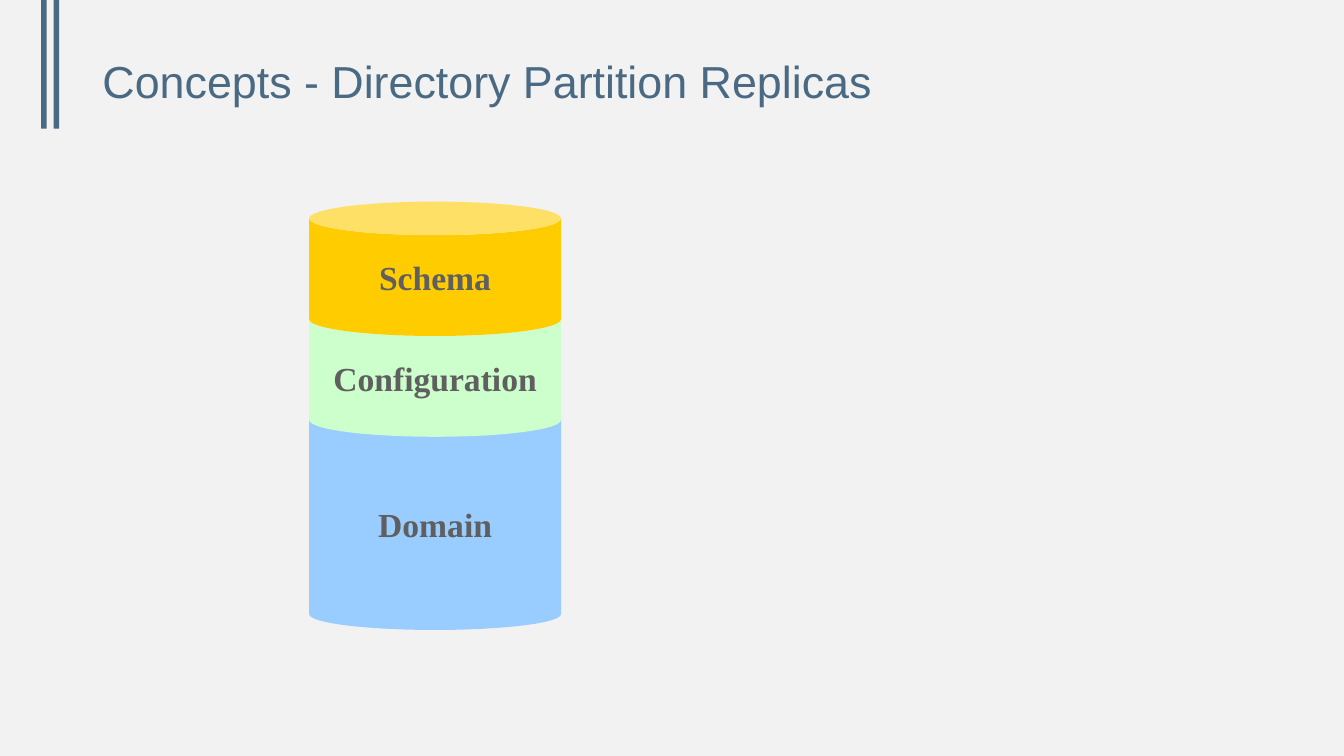
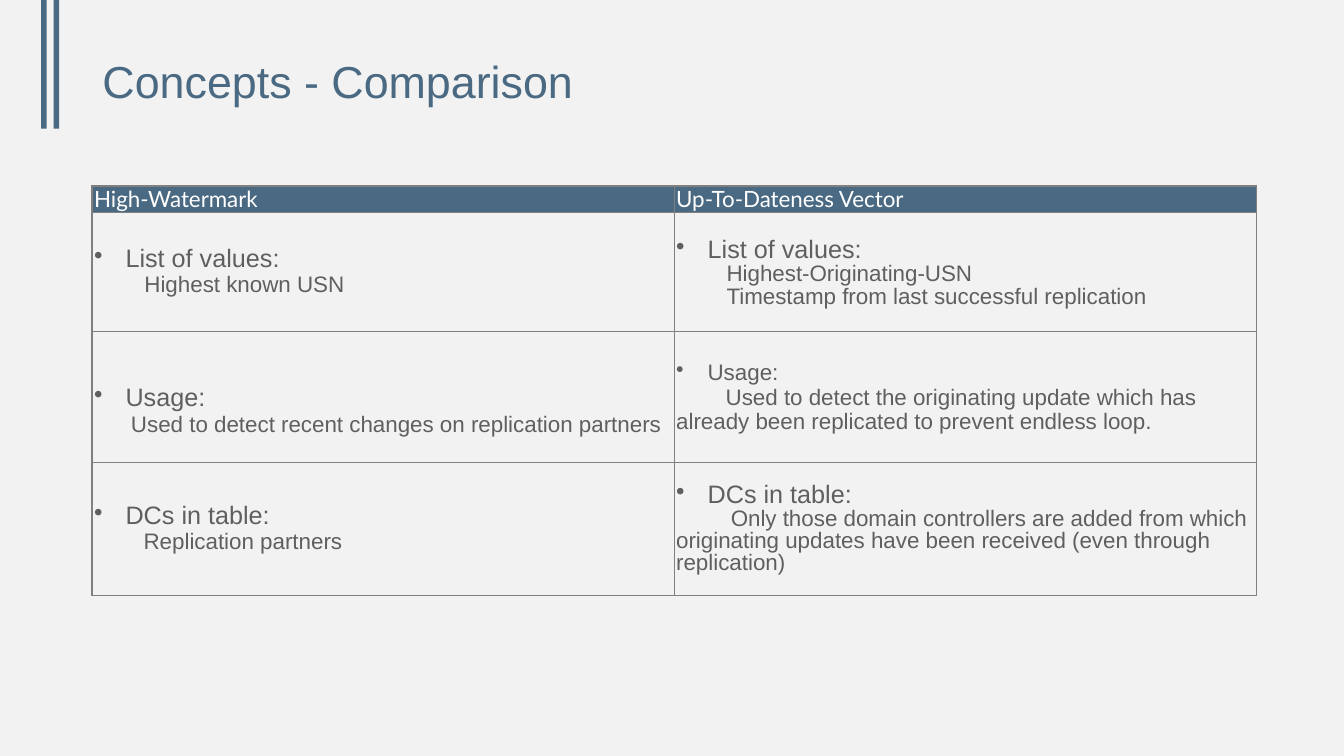
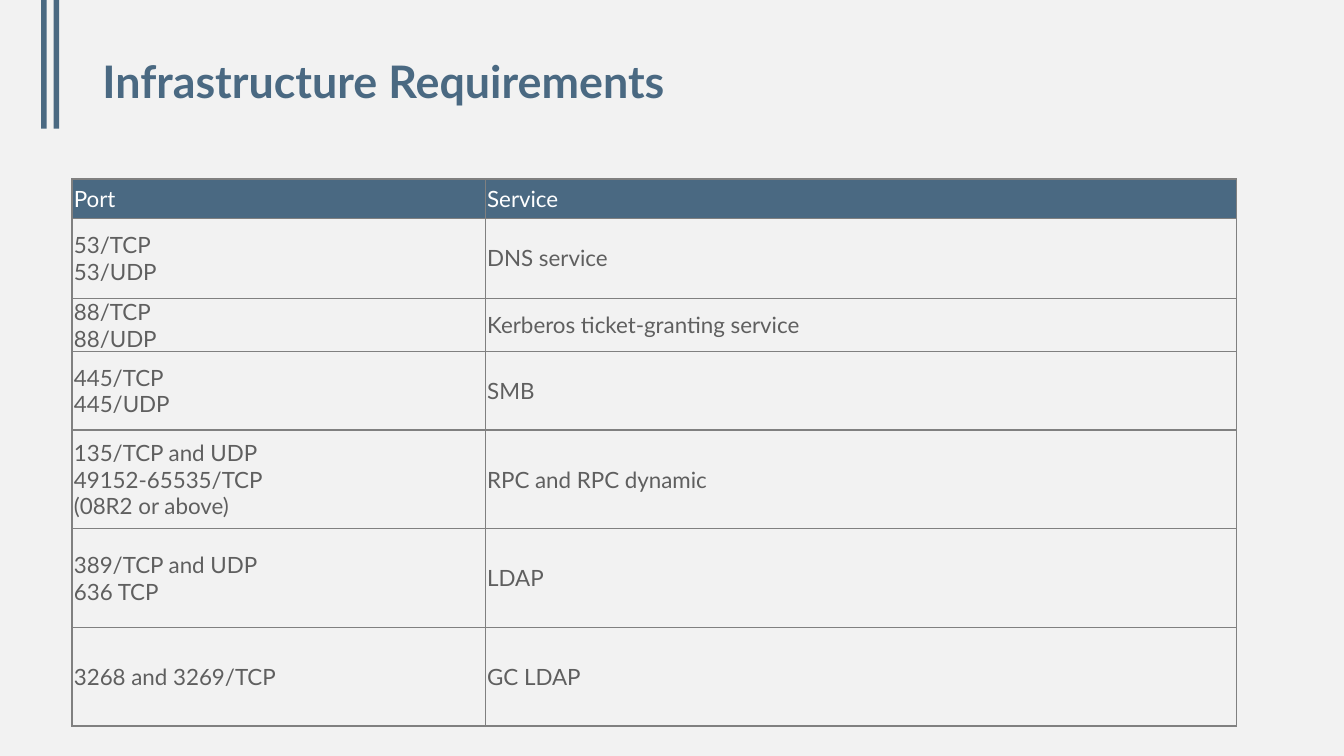
"""Build three slides on directory replication: partitions, comparison and ports."""
from dataclasses import dataclass

import lxml.etree
import pptx
import pptx.dml.color
import pptx.enum.shapes
import pptx.enum.text
import pptx.oxml.ns
import pptx.util

COLS, ROWS = 160, 90
UNIT = pptx.util.Inches(7.5) // ROWS
BLUE, GREY, LIGHT, EDGE, WHITE = "4A6982", "5F5F5F", "F2F2F2", "808080", "FFFFFF"
MIDDLE = pptx.enum.text.MSO_ANCHOR.MIDDLE


@dataclass
class Para:
    text: str
    size: int = 16
    font: str = "Lato"
    color: str = GREY
    bold: bool = False
    left: float = 0
    first: float = 0
    spacing: float = 1.0
    bullet: bool = False
    center: bool = False


@dataclass
class Cell:
    paras: list[Para]
    top: float = 0


@dataclass
class Can:
    label: str
    top: float
    height: float
    curve: float
    fill: str


def grid(n: float) -> pptx.util.Emu:
    return pptx.util.Emu(round(n * UNIT))


def rgb(color: str) -> pptx.dml.color.RGBColor:
    return pptx.dml.color.RGBColor.from_string(color)


def item(text: str, size: int = 18, spacing: float = 1.0) -> Para:
    return Para(text, size, "Arial", left=3.75, first=-3.75, spacing=spacing, bullet=True)


def detail(text: str, left: float = 0, first: float = 0, spacing: float = 1.0) -> Para:
    return Para(text, 16, "Arial", left=left, first=first, spacing=spacing)


def write(tf, paras: list[Para]) -> None:
    for i, para in enumerate(paras):
        p = tf.add_paragraph() if i else tf.paragraphs[0]
        p.text = para.text
        p.line_spacing = para.spacing
        align = pptx.enum.text.PP_ALIGN
        p.alignment = align.CENTER if para.center else align.LEFT
        p.font.name = para.font
        p.font.size = pptx.util.Pt(para.size)
        p.font.bold = para.bold
        p.font.color.rgb = rgb(para.color)
        pPr = p._p.get_or_add_pPr()
        pPr.set("marL", str(grid(para.left)))
        pPr.set("indent", str(grid(para.first)))
        if para.bullet:
            bullet = lxml.etree.Element(pptx.oxml.ns.qn("a:buChar"), char="•")
            pPr.find(pptx.oxml.ns.qn("a:defRPr")).addprevious(bullet)


def add_filled(s, kind, left: float, top: float, width: float, height: float, fill: str):
    sp = s.shapes.add_shape(kind, grid(left), grid(top), grid(width), grid(height))
    sp.shadow.inherit = False
    sp.fill.solid()
    sp.fill.fore_color.rgb = rgb(fill)
    sp.line.fill.background()
    return sp


def add_slide(prs, title: str, font: str = "Arial", bold: bool = False):
    s = prs.slides.add_slide(prs.slide_layouts.get_by_name("Title Only"))
    for left in (4.9, 6.4):
        add_filled(s, pptx.enum.shapes.MSO_SHAPE.RECTANGLE, left, 0, 0.65, 15.3, BLUE)
    write(s.shapes.title.text_frame, [Para(title, 32, font, BLUE, bold, spacing=0.9)])
    return s


def add_can(s, can: Can) -> None:
    sp = add_filled(s, pptx.enum.shapes.MSO_SHAPE.CAN, 36.8, can.top, 30, can.height, can.fill)
    sp.adjustments[0] = can.curve
    tf = sp.text_frame
    tf.word_wrap = False
    tf.vertical_anchor = MIDDLE
    write(tf, [Para(can.label, 24, "Times New Roman", bold=True, center=True)])


def set_borders(cell, outer: dict[str, bool]) -> None:
    tcPr = cell._tc.get_or_add_tcPr()
    for side, is_outer in outer.items():
        width = pptx.util.Pt(1.5 if is_outer else 1)
        ln = lxml.etree.SubElement(tcPr, pptx.oxml.ns.qn(f"a:ln{side}"), w=str(width))
        fill = lxml.etree.SubElement(ln, pptx.oxml.ns.qn("a:solidFill"))
        lxml.etree.SubElement(fill, pptx.oxml.ns.qn("a:srgbClr"), val=EDGE)


def add_grid_table(s, left: float, top: float, widths: list[float], heights: list[float],
                   header: list[str], body: list[list[Cell]]) -> None:
    rows = [[Cell([Para(text, color=WHITE)]) for text in header]] + body
    table = s.shapes.add_table(len(heights), len(widths), grid(left), grid(top),
                               grid(sum(widths)), grid(sum(heights))).table
    table.first_row = table.horz_banding = False
    for column, width in zip(table.columns, widths):
        column.width = grid(width)
    for i, (row, height) in enumerate(zip(rows, heights)):
        table.rows[i].height = grid(height)
        for j, content in enumerate(row):
            cell = table.cell(i, j)
            cell.margin_left = cell.margin_right = grid(0.2)
            cell.margin_top, cell.margin_bottom = grid(content.top), 0
            cell.vertical_anchor = MIDDLE
            set_borders(cell, {"L": j == 0, "R": j == len(widths) - 1,
                               "T": i == 0, "B": i == len(heights) - 1})
            if i:
                cell.fill.background()
            else:
                cell.fill.solid()
                cell.fill.fore_color.rgb = rgb(BLUE)
            write(cell.text_frame, content.paras)


def set_template(prs) -> None:
    prs.slide_width, prs.slide_height = grid(COLS), grid(ROWS)
    background = prs.slide_master.background.fill
    background.solid()
    background.fore_color.rgb = rgb(LIGHT)
    title = prs.slide_layouts.get_by_name("Title Only").placeholders[0]
    title.left, title.top, title.width, title.height = map(grid, (11, 5.2, 138, 9.5))
    title.text_frame.vertical_anchor = MIDDLE


def add_partitions(prs) -> None:
    s = add_slide(prs, "Concepts - Directory Partition Replicas")
    for can in (Can("Domain", 48, 27, 0.14, "99CCFF"),
                Can("Configuration", 36, 16, 0.25, "CCFFCC"),
                Can("Schema", 24, 16, 0.25, "FFCC00")):
        add_can(s, can)


def add_comparison(prs) -> None:
    s = add_slide(prs, "Concepts - Comparison")
    body = [
        [Cell([item("List of values:", spacing=0.9), detail("Highest known USN", left=6)]),
         Cell([item("List of values:"),
               detail("Highest-Originating-USN", left=6, spacing=0.9),
               detail("Timestamp from last successful replication", left=6, spacing=0.9)])],
        [Cell([item("Usage:"),
               detail("Used to detect recent changes on replication partners", first=4.4)],
              top=3.1),
         Cell([item("Usage:", size=16),
               detail("Used to detect the originating update which has already been "
                      "replicated to prevent endless loop.", first=5.9)])],
        [Cell([item("DCs in table:", spacing=0.9), detail("Replication partners", first=5.9)]),
         Cell([item("DCs in table:", spacing=0.9),
               detail("Only those domain controllers are added from which originating updates "
                      "have been received (even through replication)", first=6.5, spacing=0.9)])],
    ]
    add_grid_table(s, 11, 22.1, [69.3, 69.3], [3.2, 14.2, 15.6, 15.8],
                   ["High-Watermark", "Up-To-Dateness Vector"], body)


def add_ports(prs) -> None:
    s = add_slide(prs, "Infrastructure Requirements", "Lato", True)
    services = {
        "DNS service": ["53/TCP", "53/UDP"],
        "Kerberos ticket-granting service": ["88/TCP", "88/UDP"],
        "SMB": ["445/TCP", "445/UDP"],
        "RPC and RPC dynamic": ["135/TCP and UDP", "49152-65535/TCP", "(08R2 or above)"],
        "LDAP": ["389/TCP and UDP", "636 TCP"],
        "GC LDAP": ["3268 and 3269/TCP"],
    }
    body = [[Cell([Para(port) for port in ports]), Cell([Para(service)])]
            for service, ports in services.items()]
    add_grid_table(s, 8.6, 21.3, [49.2, 89.4], [4.7, 9.5, 6.4, 9.3, 11.75, 11.75, 11.75],
                   ["Port", "Service"], body)


def main() -> None:
    prs = pptx.Presentation()
    set_template(prs)
    add_partitions(prs)
    add_comparison(prs)
    add_ports(prs)
    prs.save("out.pptx")


if __name__ == "__main__":
    main()
